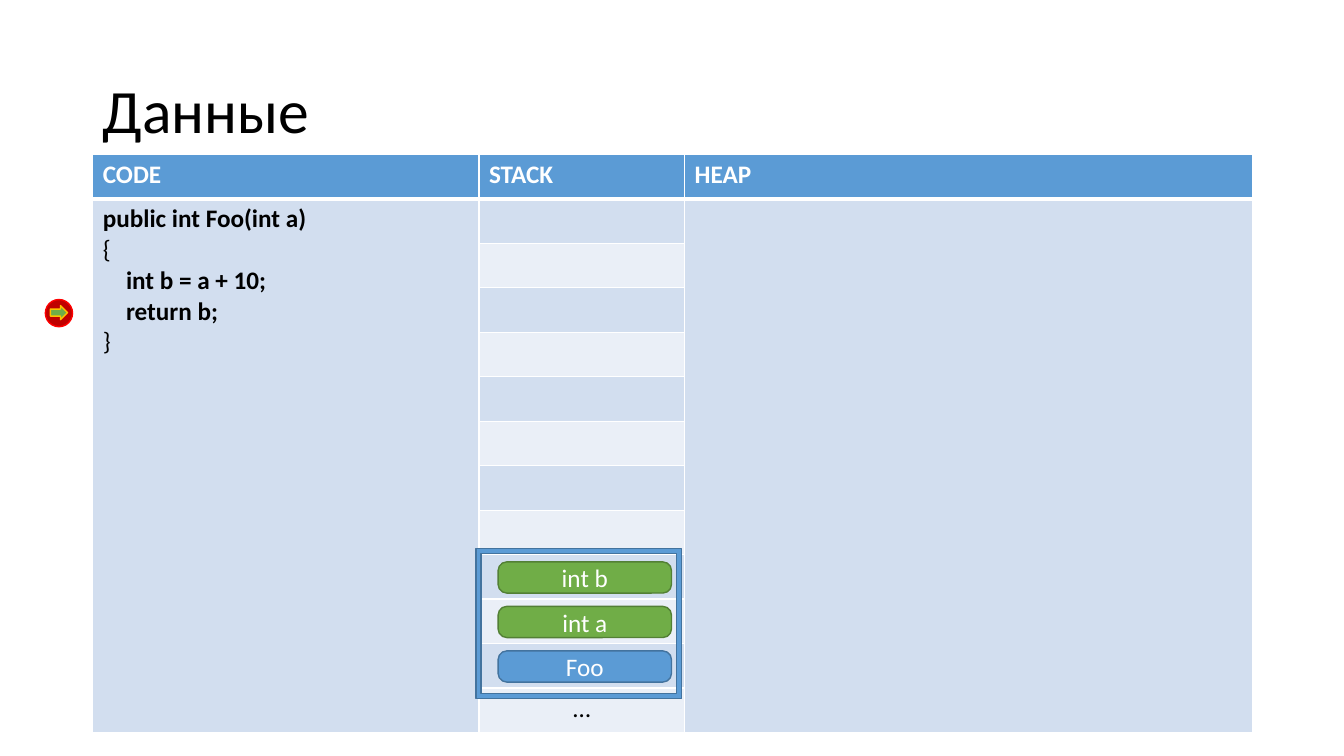
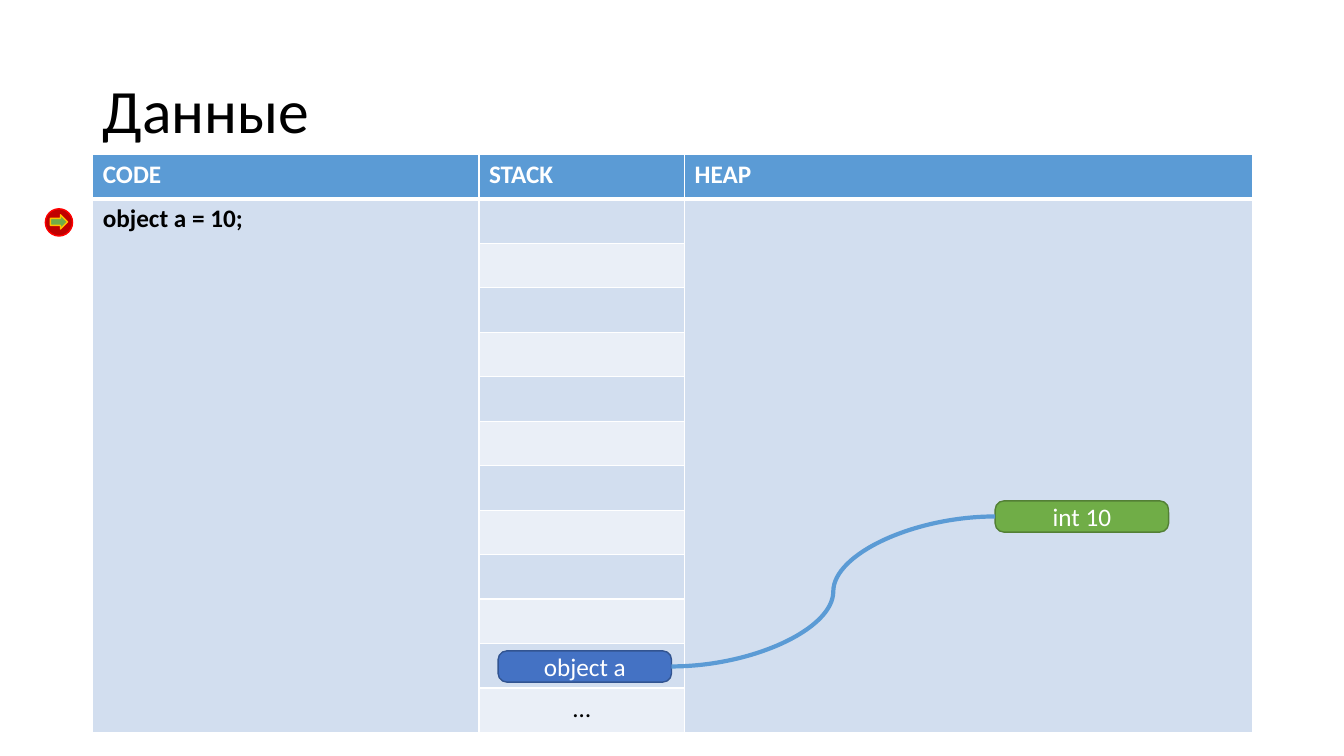
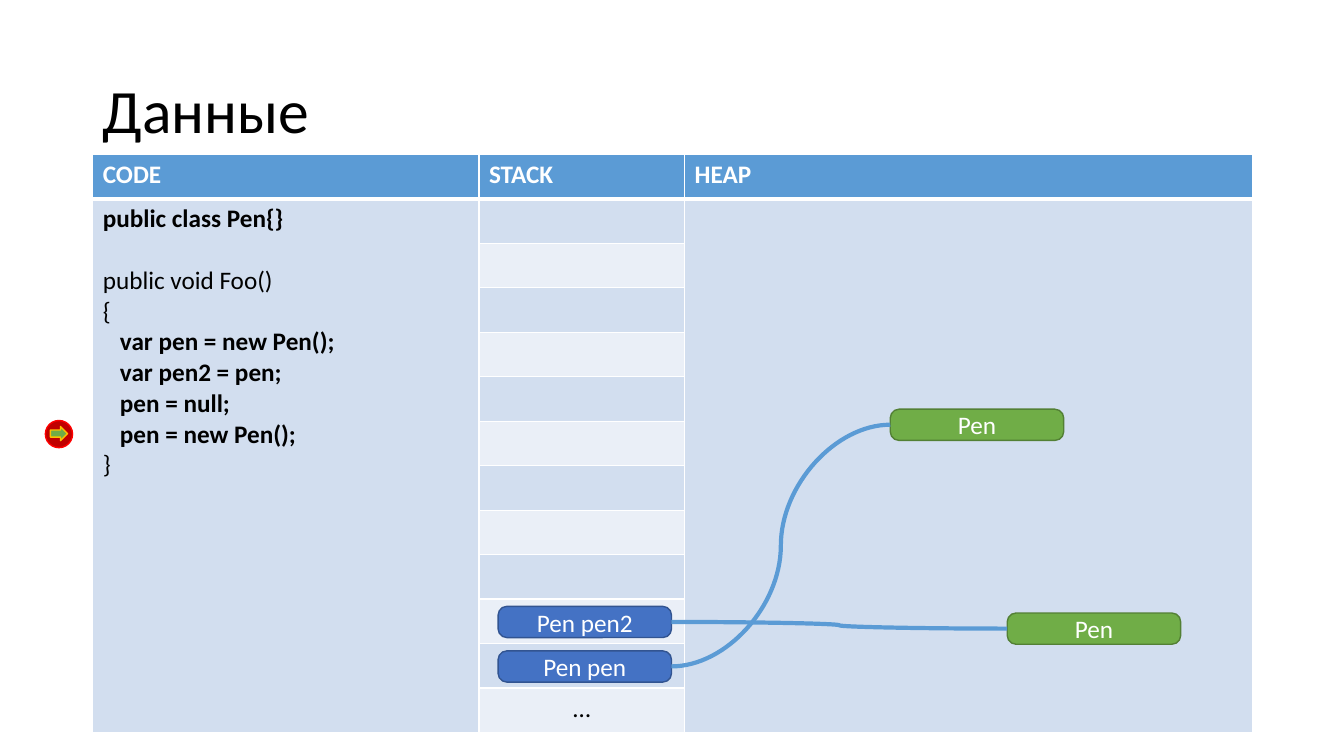
from collections import namedtuple
from itertools import accumulate
from lxml import etree
from pptx import Presentation
from pptx.dml.color import RGBColor
from pptx.enum.shapes import MSO_CONNECTOR as Link, MSO_SHAPE as Shape
from pptx.enum.text import MSO_ANCHOR as Anchor, PP_ALIGN as Align
from pptx.oxml.ns import qn
from pptx.util import Inches, Pt

Box = namedtuple("Box", "left top width height")
Line = namedtuple("Line", "text bold indent before", defaults=(True, 0, 0))

FONT = "Calibri"
WHITE, BLACK = "FFFFFF", "000000"
BLUE, GREEN, INDIGO = ("5B9BD5", "43739E"), ("70AD47", "538035"), ("4472C4", "325491")
BANDS = ("D2DEEF", "EAEFF7")
HEADINGS = ("CODE", "STACK", "HEAP")
COLUMNS = (3.83, 2.04, 5.63)
ROWS = 13
TITLE = Box(0.92, 0.4, 11.5, 1.45)
GRID = Box(0.92, 1.53, 11.5, 5.74)
ROW = GRID.height / ROWS
CODE_X, STACK_X, HEAP_X = list(accumulate(COLUMNS, initial=GRID.left))[:3]
LINE_PITCH = 0.3


def color(value):
    """Turn a hex string into a colour."""
    return RGBColor.from_string(value)


def inches(box):
    """Convert a box to lengths for python-pptx."""
    return [Inches(length) for length in box]


def write(para, text, size=18, ink=BLACK, bold=False):
    """Add one run to a paragraph."""
    span = para.add_run()
    span.text = text
    span.font.name, span.font.size, span.font.bold = FONT, Pt(size), bold
    span.font.color.rgb = color(ink)


def draw(shapes, kind, box, fill, outline):
    """Add a filled and outlined preset shape."""
    shape = shapes.add_shape(kind, *inches(box))
    shape.shadow.inherit = False
    shape.fill.solid()
    shape.fill.fore_color.rgb = color(fill)
    shape.line.color.rgb = color(outline)
    shape.line.width = Pt(1)
    return shape


def paint_cell(cell, fill, top=1, bottom=1):
    """Fill a cell and give it white borders."""
    cell.fill.solid()
    cell.fill.fore_color.rgb = color(fill)
    properties = cell._tc.get_or_add_tcPr()
    for index, (side, width) in enumerate(zip("LRTB", (1, 1, top, bottom))):
        border = etree.Element(qn(f"a:ln{side}"), w=str(Pt(width)))
        solid = etree.SubElement(border, qn("a:solidFill"))
        etree.SubElement(solid, qn("a:srgbClr"), val=WHITE)
        properties.insert(index, border)


def add_title(page, box, text):
    """Place the slide title."""
    frame = page.shapes.add_textbox(*inches(box)).text_frame
    frame.word_wrap = True
    frame.vertical_anchor = Anchor.MIDDLE
    frame.paragraphs[0].line_spacing = 0.9
    write(frame.paragraphs[0], text, 44)


def write_code(frame, lines):
    """Write code lines as indented paragraphs."""
    for index, line in enumerate(lines):
        para = frame.add_paragraph() if index else frame.paragraphs[0]
        para.space_before = Pt(line.before)
        para._p.get_or_add_pPr().set("marL", str(Inches(line.indent)))
        write(para, line.text, bold=line.bold)


def add_memory_table(page, box, lines):
    """Place the table of code, stack and heap."""
    table = page.shapes.add_table(ROWS, len(COLUMNS), *inches(box)).table
    table.horz_banding = False
    for column, width in zip(table.columns, COLUMNS):
        column.width = Inches(width)
    for index, row in enumerate(table.rows):
        row.height = Inches(box.height / ROWS)
        for number, cell in enumerate(row.cells):
            if index == 0:
                paint_cell(cell, BLUE[0], bottom=3)
                write(cell.text_frame.paragraphs[0], HEADINGS[number], ink=WHITE, bold=True)
            else:
                band = (index - 1) % 2 if number == 1 else 0
                paint_cell(cell, BANDS[band], top=3 if index == 1 else 1)
    for number in (0, 2):
        table.cell(1, number).merge(table.cell(ROWS - 1, number))
    write_code(table.cell(1, 0).text_frame, lines)
    para = table.cell(ROWS - 1, 1).text_frame.paragraphs[0]
    para.alignment = Align.CENTER
    write(para, "…")


def add_block(page, left, row, text, palette):
    """Place a labelled memory block in a table row."""
    box = Box(left, GRID.top + row * ROW + 0.07, 1.72, 0.31)
    block = draw(page.shapes, Shape.ROUNDED_RECTANGLE, box, *palette)
    block.adjustments[0] = 0.28
    block.text_frame.vertical_anchor = Anchor.MIDDLE
    para = block.text_frame.paragraphs[0]
    para.alignment = Align.CENTER
    write(para, text, ink=WHITE)
    return block


def add_stack_block(page, row, text, palette):
    """Place a block in the stack column."""
    return add_block(page, STACK_X + 0.19, row, text, palette)


def add_reference(page, row, name, offset, heap_row, value):
    """Place a stack reference, its heap object and the curve between them."""
    source = add_stack_block(page, row, name, INDIGO)
    target = add_block(page, HEAP_X + offset, heap_row, value, GREEN)
    curve = page.shapes.add_connector(Link.CURVE, 0, 0, 0, 0)
    curve.begin_connect(source, 3)
    curve.end_connect(target, 1)
    curve.line.color.rgb = color(BLUE[0])
    curve.line.width = Pt(3)
    etree.SubElement(curve._element.spPr, qn("a:effectLst"))


def add_stack_frame(page, row):
    """Outline the call frame in the stack column."""
    box = Box(STACK_X - 0.03, GRID.top + row * ROW, COLUMNS[1], 1.49)
    draw(page.shapes, Shape.FRAME, box, *BLUE).adjustments[0] = 0.035


def add_marker(page, line):
    """Place the breakpoint marker beside a code line."""
    left, top = CODE_X - 0.47, GRID.top + ROW + 0.1 + line * LINE_PITCH
    shapes = page.shapes.add_group_shape().shapes
    draw(shapes, Shape.OVAL, Box(left, top, 0.27, 0.27), "C00000", "FF0000")
    draw(shapes, Shape.RIGHT_ARROW, Box(left + 0.05, top + 0.06, 0.17, 0.14), GREEN[0], "FFC000")


def add_page(deck, lines, marked):
    """Add a slide with title, memory table and marker."""
    page = deck.slides.add_slide(deck.slide_layouts[6])
    add_title(page, TITLE, "Данные")
    add_memory_table(page, GRID, lines)
    add_marker(page, marked)
    return page


def add_call_page(deck):
    """Show the stack frame of a method call."""
    page = add_page(deck, [
        Line("public int Foo(int a)"),
        Line("{", False),
        Line("int b = a + 10;", indent=0.23),
        Line("return b;", indent=0.23),
        Line("}", False),
    ], 3)
    add_stack_block(page, 11, "Foo", BLUE)
    for row, text in ((10, "int a"), (9, "int b")):
        add_stack_block(page, row, text, GREEN)
    add_stack_frame(page, 8.86)


def add_boxing_page(deck):
    """Show a boxed value on the heap."""
    page = add_page(deck, [Line("object a = 10;")], 0)
    add_reference(page, 11, "object a", 3.08, 7.63, "int 10")


def add_objects_page(deck):
    """Show two references to two heap objects."""
    body = ("var pen = new Pen();", "var pen2 = pen;", "pen = null;", "pen = new Pen();")
    page = add_page(deck, [
        Line("public class Pen{}"),
        Line("public void Foo()", False, before=22),
        Line("{", False),
        *(Line(text, indent=0.17) for text in body),
        Line("}", False),
    ], 7)
    add_reference(page, 11, "Pen pen", 2.04, 5.57, "Pen")
    add_reference(page, 10, "Pen pen2", 3.2, 10.15, "Pen")


def main():
    """Build and save the deck."""
    deck = Presentation()
    deck.slide_width, deck.slide_height = Inches(13.33), Inches(7.5)
    for build in (add_call_page, add_boxing_page, add_objects_page):
        build(deck)
    deck.save("out.pptx")


if __name__ == "__main__":
    main()
